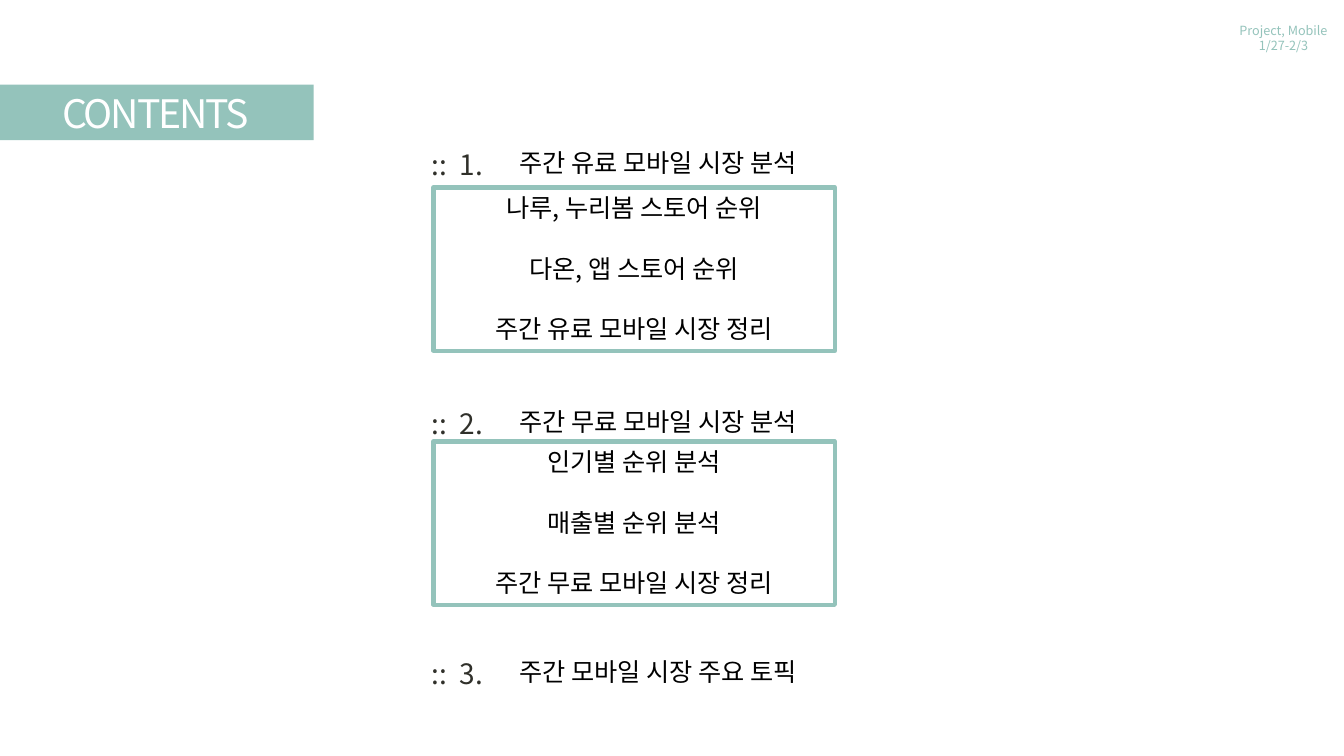
from dataclasses import dataclass

from lxml.etree import SubElement
from pptx import Presentation
from pptx.dml.color import RGBColor
from pptx.enum.shapes import MSO_SHAPE
from pptx.enum.text import MSO_ANCHOR, PP_ALIGN
from pptx.oxml.ns import qn
from pptx.util import Inches, Pt


@dataclass(frozen=True)
class Theme:
    font: str = "Noto Sans CJK KR"
    accent: RGBColor = RGBColor(0x94, 0xC3, 0xBB)
    number: RGBColor = RGBColor(0x30, 0x30, 0x2A)
    body: RGBColor = RGBColor(0, 0, 0)
    white: RGBColor = RGBColor(255, 255, 255)
    title_size: int = 28
    number_size: int = 20
    body_size: int = 18
    header_size: int = 9
    line_height: float = 1.2


THEME = Theme()

# Section number, top of heading, top of box, heading, items
SECTIONS = [
    (1, 1.41, 1.86, "주간 유료 모바일 시장 분석",
     ["나루, 누리봄 스토어 순위", "다온, 앱 스토어 순위", "주간 유료 모바일 시장 정리"]),
    (2, 3.98, 4.38, "주간 무료 모바일 시장 분석",
     ["인기별 순위 분석", "매출별 순위 분석", "주간 무료 모바일 시장 정리"]),
    (3, 6.46, None, "주간 모바일 시장 주요 토픽", []),
]


def write_lines(shape, lines, size, color, align=PP_ALIGN.LEFT, gap=0, tracking=0):
    frame = shape.text_frame
    frame.vertical_anchor = MSO_ANCHOR.TOP
    frame.text = "\n".join(lines)
    for paragraph in frame.paragraphs:
        paragraph.alignment = align
        paragraph.line_spacing = Pt(size * THEME.line_height)
        paragraph.space_after = Pt(gap)
        font = paragraph.font
        font.size = Pt(size)
        font.color.rgb = color
        font.name = THEME.font
        # East Asian font and letter spacing
        properties = paragraph._p.pPr.find(qn("a:defRPr"))
        SubElement(properties, qn("a:ea"), typeface=THEME.font)
        if tracking:
            properties.set("spc", str(round(tracking * 100)))


def add_text(slide, left, top, width, height, lines, size, color, wrap=True, **style):
    box = slide.shapes.add_textbox(Inches(left), Inches(top), Inches(width), Inches(height))
    box.text_frame.word_wrap = wrap
    write_lines(box, lines, size, color, **style)


def add_rectangle(slide, left, top, width, height):
    shape = slide.shapes.add_shape(
        MSO_SHAPE.RECTANGLE, Inches(left), Inches(top), Inches(width), Inches(height))
    shape.shadow.inherit = False
    return shape


def add_title_band(slide, title):
    band = add_rectangle(slide, 0, 0.84, 3.11, 0.55)
    band.fill.solid()
    band.fill.fore_color.rgb = THEME.accent
    band.line.fill.background()
    add_text(slide, 0.52, 0.84, 2.1, 0.57, [title], THEME.title_size, THEME.white,
             wrap=False, tracking=-1.5)


def add_item_box(slide, top, items):
    box = add_rectangle(slide, 4.3, top, 3.98, 1.62)
    box.fill.background()
    box.line.color.rgb = THEME.accent
    box.line.width = Pt(3)
    write_lines(box, items, THEME.body_size, THEME.body, align=PP_ALIGN.CENTER,
                gap=THEME.body_size * THEME.line_height)


def add_section(slide, number, top, box_top, heading, items):
    if items:
        add_item_box(slide, box_top, items)
    add_text(slide, 4.18, top, 0.95, 0.44, [f"::  {number}."],
             THEME.number_size, THEME.number)
    add_text(slide, 5.05, top, 3.24, 0.4, [heading], THEME.body_size, THEME.body)


def main():
    presentation = Presentation()
    presentation.slide_width = Inches(13.33)
    presentation.slide_height = Inches(7.5)
    slide = presentation.slides.add_slide(presentation.slide_layouts[6])

    # Header and title
    add_text(slide, 12.16, 0.18, 1.14, 0.4, ["Project, Mobile", "1/27-2/3"],
             THEME.header_size, THEME.accent, align=PP_ALIGN.CENTER)
    add_title_band(slide, "CONTENTS")

    # Table of contents
    for section in SECTIONS:
        add_section(slide, *section)

    presentation.save("out.pptx")


if __name__ == "__main__":
    main()
